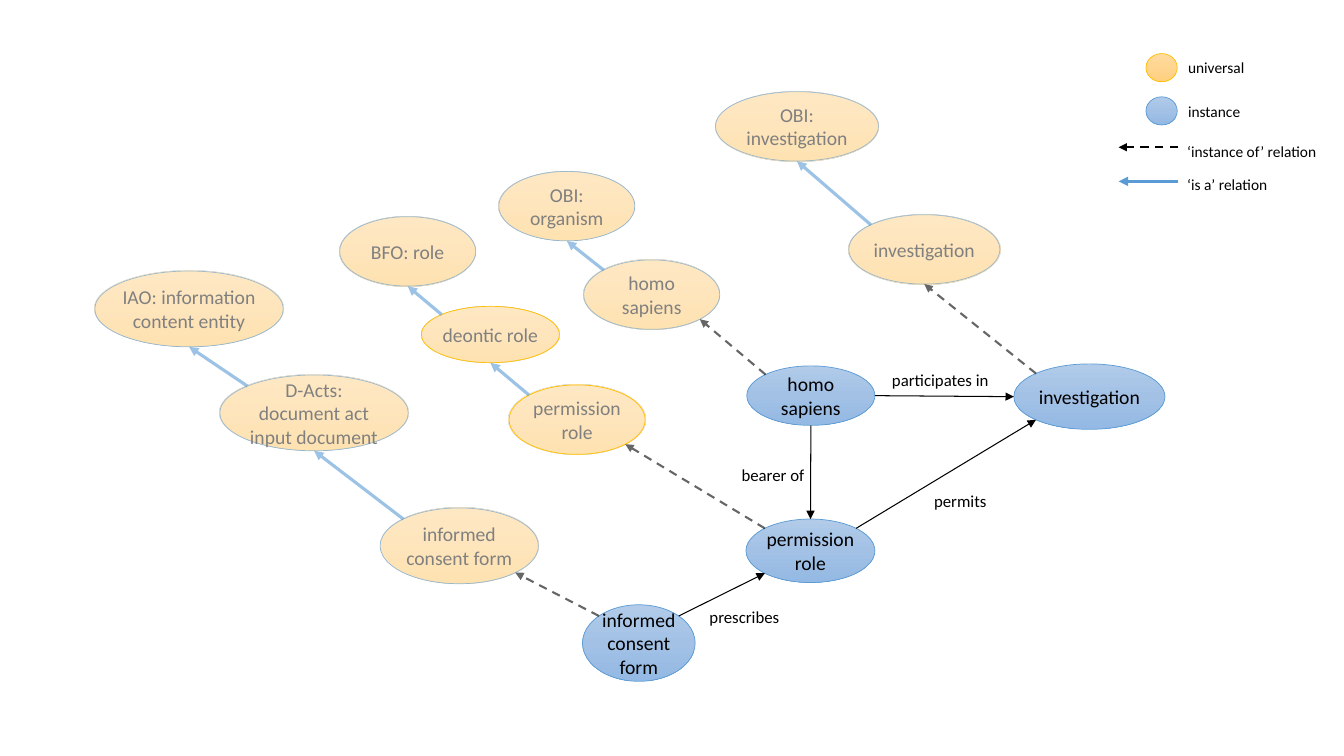
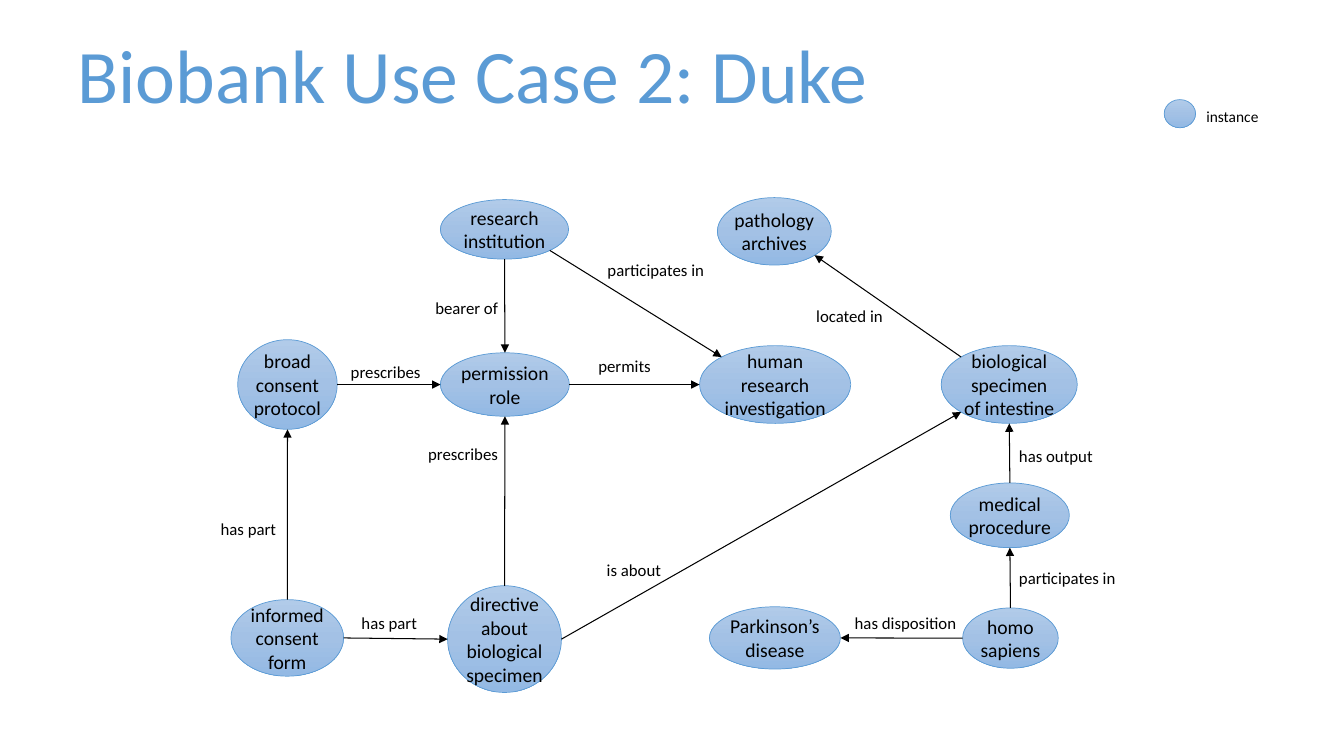
"""Build two slides of consent ontology diagrams with linked ellipses."""
from dataclasses import dataclass
from copy import deepcopy
from math import cos, radians, sin

from lxml.etree import SubElement
from pptx import Presentation
from pptx.dml.color import RGBColor as Rgb
from pptx.enum.dml import MSO_LINE as Dash
from pptx.enum.shapes import MSO_CONNECTOR as Link, MSO_SHAPE as Shape
from pptx.enum.text import MSO_ANCHOR as Anchor, MSO_AUTO_SIZE as Fit, PP_ALIGN as Align
from pptx.oxml.ns import qn
from pptx.util import Cm, Pt


@dataclass(frozen=True)
class Theme:
    font: str = "Calibri"
    black: str = "000000"
    grey: str = "808080"
    blue: str = "5B9BD5"
    gold: str = "FFC000"
    blues: tuple = ("B1CBE9", "A3C1E5", "93B9E4")
    oranges: tuple = ("FFDB9E", "FFD590", "FFD07C")
    faded: str = "60000"
    title: int = 54
    node: int = 14
    label: int = 12
    key: int = 11
    outline: float = 0.5


theme = Theme()

# kind: gradient, outline, text colour, fill faded, outline faded
node_styles = {
    "instance": (theme.blues, theme.blue, theme.black, False, False),
    "universal": (theme.oranges, theme.blue, theme.grey, True, True),
    "role": (theme.oranges, theme.gold, theme.grey, True, False),
    "universal key": (theme.oranges, theme.gold, theme.grey, False, False),
}
# style: colour, width, dash, faded
arrow_styles = {
    "relation": (theme.black, 0.75, Dash.SOLID, False),
    "instance of": (theme.black, 1.5, Dash.DASH, True),
    "is a": (theme.blue, 2.25, Dash.SOLID, True),
    "instance of key": (theme.black, 1.5, Dash.DASH, False),
    "is a key": (theme.blue, 2.25, Dash.SOLID, False),
}
TOP, TOP_LEFT, LEFT, BOTTOM_LEFT, BOTTOM, BOTTOM_RIGHT, RIGHT, TOP_RIGHT = range(8)

consent = {
    "title": None,
    "nodes": {
        "universal key": ("universal key", "", 28.88, 1.35, 0.79, 0.71),
        "instance key": ("instance", "", 28.88, 2.44, 0.79, 0.71),
        "form": ("instance", "informed consent form", 14.68, 15.24, 2.84, 1.93),
        "homo": ("instance", "homo sapiens", 18.82, 9.22, 3.23, 1.5),
        "permission": ("instance", "permission role", 18.8, 13.08, 3.25, 1.6),
        "study": ("instance", "investigation", 25.55, 9.17, 3.81, 1.65),
        "homo type": ("universal", "homo sapiens", 14.71, 6.55, 3.43, 1.75),
        "form type": ("universal", "informed consent form", 9.58, 12.8, 3.99, 1.91),
        "study type": ("universal", "investigation", 21.39, 5.41, 3.81, 1.75),
        "content": ("universal", "IAO: information content entity", 2.39, 6.83, 4.75, 1.91),
        "role": ("universal", "BFO: role", 8.56, 5.46, 3.43, 1.75),
        "document": ("universal", "D-Acts: document act input document", 5.54, 9.45, 4.75, 1.91),
        "organism": ("universal", "OBI: organism", 12.57, 4.32, 3.43, 1.75),
        "OBI study": ("universal", "OBI: investigation", 18.03, 2.31, 4.11, 1.75),
        "deontic": ("role", "deontic role", 10.62, 7.72, 3.48, 1.42),
        "permission type": ("role", "permission role", 12.83, 9.7, 3.43, 1.75),
    },
    "arrows": [
        ("relation", "form", TOP_RIGHT, "permission", BOTTOM_LEFT),
        ("relation", "permission", TOP_RIGHT, "study", BOTTOM_LEFT),
        ("relation", "homo", BOTTOM, "permission", TOP),
        ("relation", "homo", RIGHT, "study", LEFT),
        ("instance of", "study", TOP_LEFT, "study type", BOTTOM),
        ("instance of", "homo", TOP_LEFT, "homo type", BOTTOM_RIGHT),
        ("instance of", "permission", TOP_LEFT, "permission type", BOTTOM_RIGHT),
        ("instance of", "form", TOP_LEFT, "form type", BOTTOM_RIGHT),
        ("is a", "study type", TOP_LEFT, "OBI study", BOTTOM),
        ("is a", "homo type", TOP_LEFT, "organism", BOTTOM),
        ("is a", "deontic", TOP_LEFT, "role", BOTTOM),
        ("is a", "permission type", TOP_LEFT, "deontic", BOTTOM),
        ("is a", "document", TOP_LEFT, "content", BOTTOM),
        ("is a", "form type", TOP_LEFT, "document", BOTTOM),
    ],
    "key arrows": [("instance of key", 3.71), ("is a key", 4.57)],
    "labels": [
        ("participates in", 22.23, 9.19, 2.97),
        ("permits", 23.29, 12.24, 1.85),
        ("bearer of", 18.44, 11.58, 2.11),
        ("prescribes", 17.63, 15.16, 2.29),
    ],
    "key labels": [
        ("universal", 29.69, 1.35, 1.96),
        ("instance", 29.69, 2.46, 1.83),
        ("‘instance of’ relation", 29.67, 3.45, 3.78),
        ("‘is a’ relation", 29.67, 4.29, 2.54),
    ],
}
biobank = {
    "title": "Biobank Use Case 2: Duke",
    "nodes": {
        "instance key": ("instance", "", 29.34, 2.51, 0.79, 0.71),
        "specimen": ("instance", "biological specimen of intestine", 23.72, 8.71, 3.43, 1.96),
        "archives": ("instance", "pathology archives", 18.08, 4.98, 2.87, 1.7),
        "disease": ("instance", "Parkinson’s disease", 17.88, 15.29, 3.3, 1.57),
        "form": ("instance", "informed consent form", 5.82, 15.11, 2.84, 1.93),
        "institution": ("instance", "research institution", 11.1, 5.03, 3.23, 1.5),
        "permission": ("instance", "permission role", 11.1, 8.89, 3.25, 1.6),
        "study": ("instance", "human research investigation", 17.75 - 0.12, 8.71, 3.81, 1.96),
        "protocol": ("instance", "broad consent protocol", 5.99, 8.56, 2.51, 2.26),
        "homo": ("instance", "homo sapiens", 24.26, 15.32, 2.41, 1.52),
        "directive": ("instance", "directive about biological specimen", 11.28, 14.76, 2.87, 2.69),
        "procedure": ("instance", "medical procedure", 23.95, 12.17, 3, 1.63),
    },
    "arrows": [
        ("relation", "specimen", TOP_LEFT, "archives", BOTTOM_RIGHT),
        ("relation", "permission", RIGHT, "study", LEFT),
        ("relation", "institution", BOTTOM, "permission", TOP),
        ("relation", "institution", BOTTOM_RIGHT, "study", TOP_LEFT),
        ("relation", "form", TOP, "protocol", BOTTOM),
        ("relation", "form", RIGHT, "directive", LEFT),
        ("relation", "protocol", RIGHT, "permission", LEFT),
        ("relation", "directive", TOP, "permission", BOTTOM),
        ("relation", "directive", RIGHT, "specimen", BOTTOM_LEFT),
        ("relation", "homo", TOP, "procedure", BOTTOM),
        ("relation", "homo", LEFT, "disease", RIGHT),
        ("relation", "procedure", TOP, "specimen", BOTTOM),
    ],
    "key arrows": [],
    "labels": [
        ("located in", 20.32, 7.59, 2.21),
        ("participates in", 15.06, 6.43, 2.97),
        ("permits", 14.83, 8.84, 1.85),
        ("bearer of", 10.72, 7.39, 2.11),
        ("prescribes", 8.59, 8.99, 2.29),
        ("prescribes", 10.54, 11.05, 2.29),
        ("has part", 8.86, 15.32, 1.93),
        ("has part", 5.31, 12.95, 1.93),
        ("has output", 25.43, 11.1, 2.39),
        ("has disposition", 21.29, 15.32, 3.1),
        ("is about", 15.04, 13.97, 1.9),
        ("participates in", 25.43, 14.17, 2.97),
    ],
    "key labels": [("instance", 30.15, 2.57, 1.83)],
}


def write(frame, text, size, colour, align=Align.LEFT):
    frame.text = text
    para = frame.paragraphs[0]
    para.alignment = align
    for span in para.runs:
        span.font.name = theme.font
        span.font.size = Pt(size)
        span.font.color.rgb = Rgb.from_string(colour)


def draw_arrow(page, style, start, end):
    colour, width, dash, faded = arrow_styles[style]
    arrow = page.shapes.add_connector(Link.STRAIGHT, *start, *end)
    arrow.line.color.rgb = Rgb.from_string(colour)
    arrow.line.width = Pt(width)
    arrow.line.dash_style = dash
    properties = arrow.element.spPr
    if faded:
        for tint in properties.iter(qn("a:srgbClr")):
            SubElement(tint, qn("a:alpha"), val=theme.faded)
    SubElement(properties.find(qn("a:ln")), qn("a:tailEnd"), type="triangle")
    SubElement(properties, qn("a:effectLst"))
    return arrow


deck = Presentation()
deck.slide_width, deck.slide_height = Cm(33.87), Cm(19.05)
blank_layout, title_layout = deck.slide_layouts[6], deck.slide_layouts[5]

for content in (consent, biobank):
    page = deck.slides.add_slide(title_layout if content["title"] else blank_layout)
    if content["title"]:
        title = page.shapes.title
        title.left, title.top, title.width, title.height = Cm(1.7), Cm(0.58), Cm(21.29), Cm(2.57)
        write(title.text_frame, content["title"], theme.title, theme.blue)
        title.text_frame.vertical_anchor = Anchor.TOP
        title.text_frame.auto_size = Fit.NONE

    nodes = {}
    for name, (kind, text, *bounds) in content["nodes"].items():
        gradient, outline, ink, fill_faded, outline_faded = node_styles[kind]
        node = nodes[name] = page.shapes.add_shape(Shape.OVAL, *map(Cm, bounds))
        node.shadow.inherit = False
        node.fill.gradient()
        node.fill.gradient_angle = 270
        stops = node.element.spPr.find(f".//{qn('a:gsLst')}")
        stops.insert(1, deepcopy(stops[0]))
        for stop, position, colour in zip(node.fill.gradient_stops, (0, 0.5, 1), gradient):
            stop.position = position
            stop.color.rgb = Rgb.from_string(colour)
        node.line.color.rgb = Rgb.from_string(outline)
        node.line.width = Pt(theme.outline)
        for tag, faded in (("a:gradFill", fill_faded), ("a:ln", outline_faded)):
            if faded:
                for tint in node.element.spPr.find(qn(tag)).iter(qn("a:srgbClr")):
                    SubElement(tint, qn("a:alpha"), val=theme.faded)
        if text:
            frame = node.text_frame
            frame.margin_left = frame.margin_right = frame.margin_top = frame.margin_bottom = 0
            frame.vertical_anchor = Anchor.MIDDLE
            frame.word_wrap = True
            write(frame, text, theme.node, ink, Align.CENTER)

    for style, source, source_site, target, target_site in content["arrows"]:
        joints = [(nodes[source], source_site), (nodes[target], target_site)]
        ends = []
        for node, site in joints:
            turn = radians(45 * site)
            ends.append((
                round(node.left + node.width / 2 * (1 - sin(turn))),
                round(node.top + node.height / 2 * (1 - cos(turn))),
            ))
        arrow = draw_arrow(page, style, *ends)
        joined = arrow.element.find(f".//{qn('p:cNvCxnSpPr')}")
        for tag, (node, site) in zip(("a:stCxn", "a:endCxn"), joints):
            SubElement(joined, qn(tag), id=str(node.shape_id), idx=str(site))

    for style, height in content["key arrows"]:
        draw_arrow(page, style, (Cm(29.69), Cm(height)), (Cm(28.19), Cm(height)))

    for group, size in (("labels", theme.label), ("key labels", theme.key)):
        for text, left, top, width in content[group]:
            box = page.shapes.add_textbox(Cm(left), Cm(top), Cm(width), Cm(0.75))
            box.text_frame.word_wrap = False
            box.text_frame.auto_size = Fit.SHAPE_TO_FIT_TEXT
            write(box.text_frame, text, size, theme.black)

deck.save("out.pptx")
